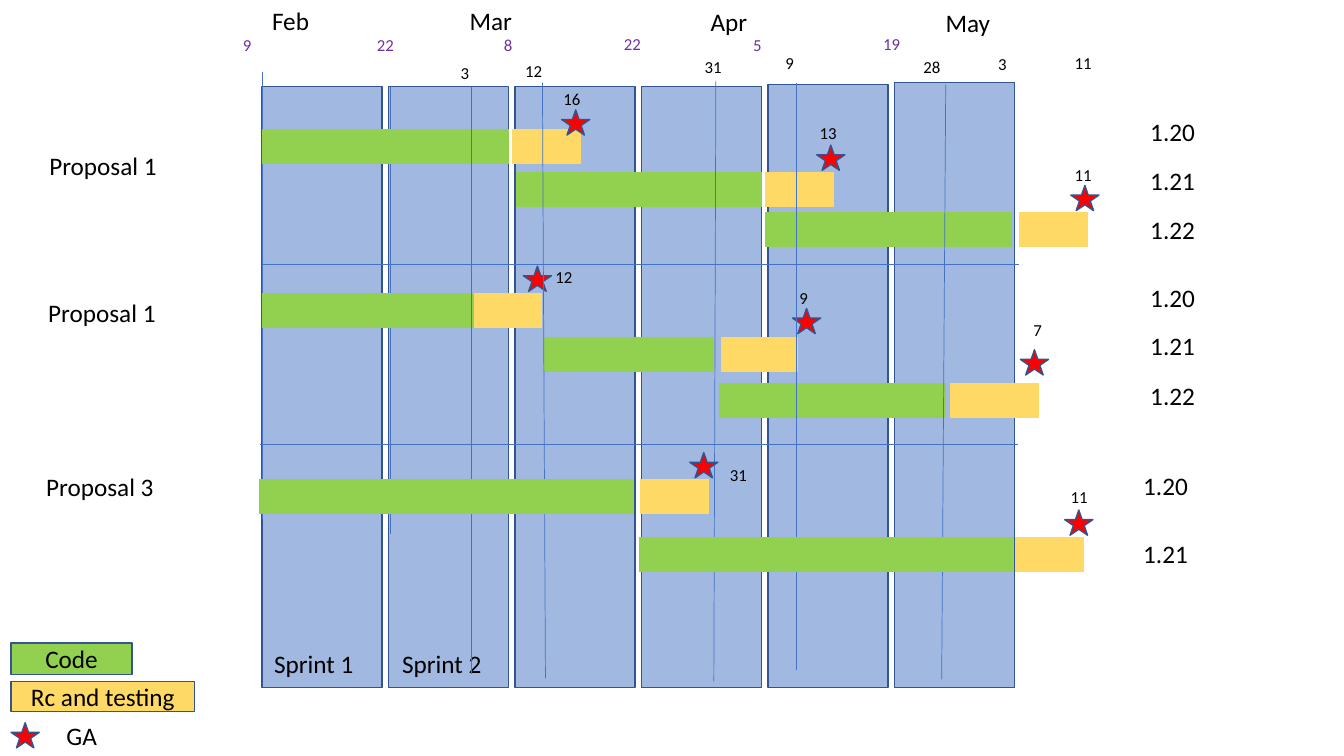
from dataclasses import dataclass
from typing import NamedTuple

from lxml.etree import SubElement
from pptx import Presentation
from pptx.dml.color import RGBColor
from pptx.enum.shapes import MSO_CONNECTOR, MSO_SHAPE
from pptx.enum.text import MSO_ANCHOR, MSO_AUTO_SIZE, PP_ALIGN
from pptx.oxml.ns import qn
from pptx.util import Emu, Pt

PX = 9144  # one hundredth of an inch
STAR_WIDTH, STAR_HEIGHT = 28, 25


@dataclass(frozen=True)
class Theme:
    font: str = "Calibri"
    label_size: int = 18
    day_size: int = 12
    bar_width: int = 25
    outline_width: float = 1
    guide_width: float = 0.5
    text: str = "000000"
    sprint_day: str = "7030A0"
    blue: str = "4472C4"
    outline: str = "325491"
    code: str = "92D050"
    testing: str = "FFD966"
    star: str = "FF0000"


THEME = Theme()


class Label(NamedTuple):
    text: str
    left: int
    top: int
    width: int


class Day(NamedTuple):
    text: str
    left: int
    top: int


class Line(NamedTuple):
    x1: int
    y1: int
    x2: int
    y2: int


class Release(NamedTuple):
    version: Label
    y: int
    code: tuple[int, int]
    testing: tuple[int, int]
    star: tuple[int, int]
    day: Day


class Proposal(NamedTuple):
    name: Label
    releases: list[Release]


MONTHS = [Label("Feb", 260, 0, 57), Label("Mar", 456, 0, 63),
          Label("Apr", 695, 1, 57), Label("May", 928, 2, 65)]
SPRINT_DAYS = [Day("9", 231, 30), Day("22", 364, 30), Day("8", 490, 30),
               Day("22", 609, 29), Day("5", 737, 30), Day("19", 866, 29)]
RELEASE_DAYS = [Day("3", 447, 57), Day("12", 511, 55), Day("31", 689, 51),
                Day("9", 769, 47), Day("28", 906, 51), Day("3", 980, 48),
                Day("11", 1056, 47)]
SPRINT_NAMES = [Label("Sprint 1", 262, 638, 100), Label("Sprint 2", 389, 638, 100)]
SPRINT_TOPS = [86, 86, 86, 86, 84, 82]
SPRINT_LEFT, SPRINT_STEP, SPRINT_WIDTH, SPRINT_BOTTOM = 260, 125.4, 119, 682

SPRINT_GUIDES = [Line(260, 71, 260, 515), Line(387, 86, 387, 530)]
RELEASE_GUIDES = [Line(468, 86, 468, 669), Line(538, 82, 541, 673),
                  Line(710, 80, 708, 676), Line(790, 82, 790, 665),
                  Line(938, 84, 934, 674)]
DIVIDERS = [Line(260, 262, 1011, 262), Line(258, 441, 1010, 441)]

PROPOSALS = [
    Proposal(Label("Proposal 1", 39, 144, 128), [
        Release(Label("1.20", 1131, 111, 65), 145, (260, 505), (508, 576),
                (557, 109), Day("16", 549, 83)),
        Release(Label("1.21", 1131, 159, 65), 188, (512, 756), (759, 827),
                (810, 144), Day("13", 803, 117)),
        Release(Label("1.22", 1131, 208, 65), 228, (759, 1004), (1011, 1079),
                (1062, 184), Day("11", 1056, 159)),
    ]),
    Proposal(Label("Proposal 1", 38, 290, 128), [
        Release(Label("1.20", 1131, 275, 65), 308, (260, 473), (470, 538),
                (519, 264), Day("12", 541, 260)),
        Release(Label("1.21", 1131, 323, 65), 352, (539, 708), (715, 791),
                (786, 306), Day("9", 783, 281)),
        Release(Label("1.22", 1131, 372, 65), 397, (713, 938), (942, 1030),
                (1012, 347), Day("7", 1015, 312)),
    ]),
    Proposal(Label("Proposal 3", 36, 463, 128), [
        Release(Label("1.20", 1124, 462, 65), 493, (257, 629), (635, 703),
                (684, 449), Day("31", 714, 456)),
        Release(Label("1.21", 1124, 529, 65), 550, (634, 1005), (1007, 1075),
                (1056, 506), Day("11", 1052, 478)),
    ]),
]


def px(value: float) -> Emu:
    return Emu(round(value * PX))


def add_text(page, label: Label, height: int, size: int, color: str) -> None:
    box = page.shapes.add_textbox(px(label.left), px(label.top), px(label.width), px(height))
    box.text_frame.word_wrap = False
    box.text_frame.auto_size = MSO_AUTO_SIZE.SHAPE_TO_FIT_TEXT
    write(box, label.text, size, color)


def write(box, text: str, size: int, color: str) -> None:
    para = box.text_frame.paragraphs[0]
    para.text = text
    para.font.name = THEME.font
    para.font.size = Pt(size)
    para.font.color.rgb = RGBColor.from_string(color)


def add_label(page, label: Label) -> None:
    add_text(page, label, 40, THEME.label_size, THEME.text)


def add_day(page, day: Day, color: str = THEME.text) -> None:
    width = 21 + 8 * len(day.text)
    add_text(page, Label(*day, width), 30, THEME.day_size, color)


def add_box(page, kind, left: float, top: int, width: int, height: int, fill: str):
    box = page.shapes.add_shape(kind, px(left), px(top), px(width), px(height))
    box.shadow.inherit = False
    box.fill.solid()
    box.fill.fore_color.rgb = RGBColor.from_string(fill)
    box.line.color.rgb = RGBColor.from_string(THEME.outline)
    box.line.width = Pt(THEME.outline_width)
    return box


def add_star(page, left: int, top: int) -> None:
    add_box(page, MSO_SHAPE.STAR_5_POINT, left, top, STAR_WIDTH, STAR_HEIGHT, THEME.star)


def add_sprint(page, left: float, top: int) -> None:
    sprint = add_box(page, MSO_SHAPE.RECTANGLE, left, top, SPRINT_WIDTH,
                     SPRINT_BOTTOM - top, THEME.blue)
    color = sprint.fill._xPr.find(qn("a:solidFill"))[0]
    SubElement(color, qn("a:alpha"), val="50000")


def add_line(page, line: Line, color: str = THEME.blue,
             width: float = THEME.guide_width) -> None:
    connector = page.shapes.add_connector(MSO_CONNECTOR.STRAIGHT, *map(px, line))
    connector.line.color.rgb = RGBColor.from_string(color)
    connector.line.width = Pt(width)
    SubElement(connector._element.spPr, qn("a:effectLst"))


def add_proposal(page, proposal: Proposal) -> None:
    add_label(page, proposal.name)
    for release in proposal.releases:
        for (start, end), color in ((release.code, THEME.code),
                                    (release.testing, THEME.testing)):
            add_line(page, Line(start, release.y, end, release.y), color, THEME.bar_width)
        add_star(page, *release.star)
        add_day(page, release.day)
        add_label(page, release.version)


def add_legend_box(page, label: Label, height: int, fill: str) -> None:
    box = add_box(page, MSO_SHAPE.RECTANGLE, label.left, label.top, label.width, height, fill)
    box.text_frame.vertical_anchor = MSO_ANCHOR.MIDDLE
    write(box, label.text, THEME.label_size, THEME.text)
    box.text_frame.paragraphs[0].alignment = PP_ALIGN.CENTER


def main() -> None:
    deck = Presentation()
    deck.slide_width, deck.slide_height = px(1333), px(750)
    page = deck.slides.add_slide(deck.slide_layouts[6])

    # Sprint columns
    for index, top in enumerate(SPRINT_TOPS):
        add_sprint(page, SPRINT_LEFT + index * SPRINT_STEP, top)
    for guide in SPRINT_GUIDES:
        add_line(page, guide)

    # Calendar labels
    for label in MONTHS + SPRINT_NAMES:
        add_label(page, label)
    for day in SPRINT_DAYS:
        add_day(page, day, THEME.sprint_day)
    for day in RELEASE_DAYS:
        add_day(page, day)

    # Proposals; the release guides cross only the first two
    for proposal in PROPOSALS[:2]:
        add_proposal(page, proposal)
    for line in RELEASE_GUIDES + DIVIDERS:
        add_line(page, line)
    add_proposal(page, PROPOSALS[2])

    # Legend
    add_legend_box(page, Label("Code", 11, 638, 120), 31, THEME.code)
    add_legend_box(page, Label("Rc and testing", 11, 676, 182), 30, THEME.testing)
    add_star(page, 11, 717)
    add_label(page, Label("GA", 56, 710, 51))

    deck.save("out.pptx")


if __name__ == "__main__":
    main()
